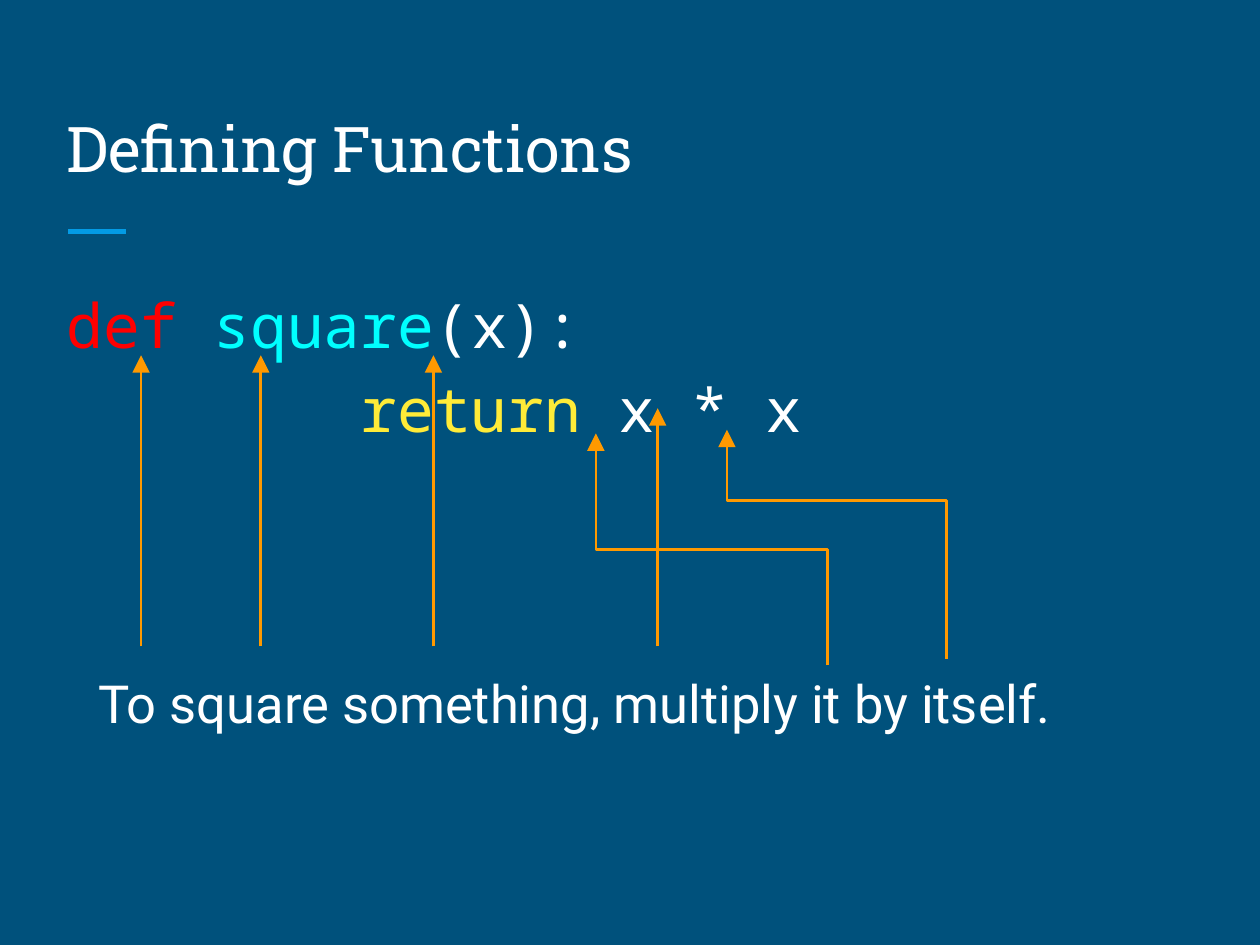
import pptx
import pptx.util
import pptx.dml.color
import pptx.enum.shapes
import pptx.enum.text
from lxml import etree

W, H = 10, 7.5
LINE = pptx.enum.shapes.MSO_CONNECTOR
ANCHOR = pptx.enum.text.MSO_ANCHOR
MONO = "Noto Sans Mono"
WHITE, ORANGE = "FFFFFF", "FF9900"
CODE_SIZE, TEXT_SIZE = 35, 30
CHAR = 0.6 * CODE_SIZE / 72  # width of one code column


def inch(v):
    return pptx.util.Inches(v)


def color(value):
    return pptx.dml.color.RGBColor.from_string(value)


def add_box(s, x, y, w, h, anchor):
    tf = s.shapes.add_textbox(inch(x), inch(y), inch(w), inch(h)).text_frame
    tf.word_wrap = True
    tf.vertical_anchor = anchor
    tf.margin_left = tf.margin_right = inch(0.1)
    tf.margin_top = tf.margin_bottom = inch(0.1)
    return tf


def add_runs(p, size, font, *runs):
    for text, rgb in runs:
        r = p.add_run()
        r.text = text
        r.font.size = pptx.util.Pt(size)
        r.font.name = font
        r.font.color.rgb = color(rgb)


def set_spacing(p, indent=0, before=0):
    p.line_spacing = 1.15
    p.space_before = pptx.util.Pt(before)
    p._p.get_or_add_pPr().set("marL", str(inch(indent)))


def add_line(s, kind, x1, y1, x2, y2, rgb, width):
    c = s.shapes.add_connector(kind, inch(x1), inch(y1), inch(x2), inch(y2))
    c.line.color.rgb = color(rgb)
    c.line.width = pptx.util.Pt(width)
    etree.SubElement(c._element.spPr, pptx.oxml.ns.qn("a:effectLst"))
    return c


def add_arrowhead(c):
    ln = c.line._get_or_add_ln()
    etree.SubElement(ln, pptx.oxml.ns.qn("a:tailEnd"),
                     type="triangle", w="lg", len="lg")


def add_elbow(s, x1, y1, x2, y2, bend):
    """Vertical-horizontal-vertical arrow: an elbow turned a quarter."""
    cx, cy = (x1 + x2) / 2, (y1 + y2) / 2
    half_w, half_h = (y1 - y2) / 2, (x1 - x2) / 2
    c = add_line(s, LINE.ELBOW, cx + half_w, cy - half_h,
                 cx - half_w, cy + half_h, ORANGE, 1.5)
    c._element.spPr.find(pptx.oxml.ns.qn("a:xfrm")).set("rot", str(90 * 60000))
    guides = c._element.spPr.find(".//" + pptx.oxml.ns.qn("a:avLst"))
    etree.SubElement(guides, pptx.oxml.ns.qn("a:gd"), name="adj1",
                     fmla=f"val {round(bend * 100000)}")
    add_arrowhead(c)


def main():
    prs = pptx.Presentation()
    prs.slide_width, prs.slide_height = inch(W), inch(H)
    s = prs.slides.add_slide(prs.slide_layouts[6])
    s.background.fill.solid()
    s.background.fill.fore_color.rgb = color("00517C")

    # Title and accent rule
    add_line(s, LINE.STRAIGHT, 0.54, 1.84, 1, 1.84, "039BE5", 3)
    tf = add_box(s, 0.43, 0.67, 9.15, 1, ANCHOR.MIDDLE)
    add_runs(tf.paragraphs[0], 36, "Roboto Slab", ("Defining Functions", WHITE))

    # Code and the sentence it matches
    tf = add_box(s, 0.43, 2.09, 9.44, 5.28, ANCHOR.TOP)
    p = tf.paragraphs[0]
    set_spacing(p)
    add_runs(p, CODE_SIZE, MONO,
             ("def ", "FF0000"), ("square", "00FFFF"), ("(x):", WHITE))
    p = tf.add_paragraph()
    set_spacing(p, indent=8 * CHAR)
    add_runs(p, CODE_SIZE, MONO, ("return", "FFEB38"), (" x * x", WHITE))
    p = tf.add_paragraph()
    set_spacing(p, indent=0.25, before=124)
    add_runs(p, TEXT_SIZE, "Roboto",
             ("To square something, multiply it by itself.", WHITE))

    # Arrows from words to code
    for x, tip in ((1.12, 2.82), (2.07, 2.82), (3.44, 2.82), (5.22, 3.24)):
        add_arrowhead(add_line(s, LINE.STRAIGHT, x, 5.13, x, tip, ORANGE, 1.5))
    add_elbow(s, 7.51, 5.23, 5.77, 3.41, 0.69)
    add_elbow(s, 6.57, 5.28, 4.73, 3.44, 0.5)

    prs.save("out.pptx")


if __name__ == "__main__":
    main()
